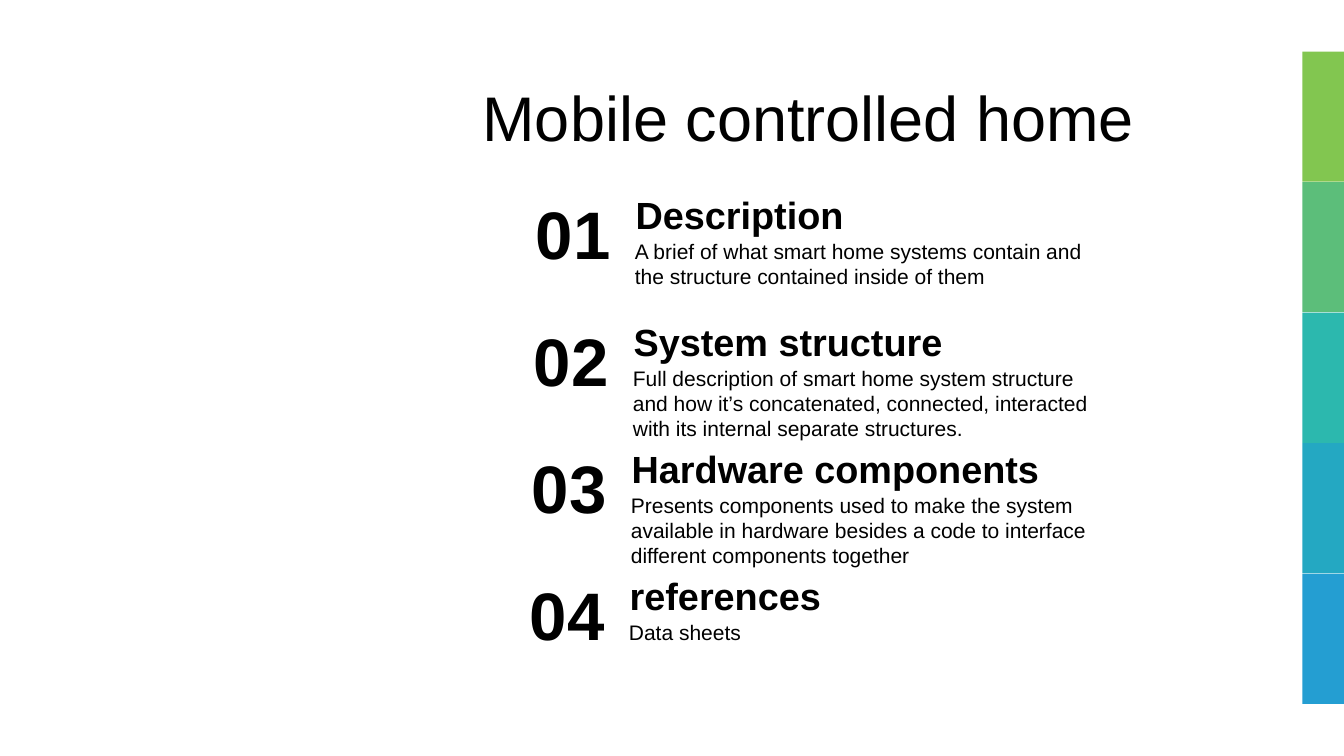
from lxml import etree
from pptx import Presentation
from pptx.dml.color import RGBColor
from pptx.enum.shapes import MSO_SHAPE
from pptx.enum.text import MSO_ANCHOR, MSO_AUTO_SIZE, PP_ALIGN
from pptx.oxml.ns import qn
from pptx.util import Cm, Pt

RECTANGLE = MSO_SHAPE.RECTANGLE
TOP, MIDDLE = MSO_ANCHOR.TOP, MSO_ANCHOR.MIDDLE
GROW = MSO_AUTO_SIZE.SHAPE_TO_FIT_TEXT
LEFT, CENTER = PP_ALIGN.LEFT, PP_ALIGN.CENTER

WHITE = RGBColor(0xFF, 0xFF, 0xFF)
BLACK = RGBColor(0x00, 0x00, 0x00)
LIME = RGBColor(0x82, 0xC6, 0x50)
GREEN = RGBColor(0x5C, 0xBE, 0x7A)
TEAL = RGBColor(0x2C, 0xB8, 0xAE)
CYAN = RGBColor(0x24, 0xA8, 0xC2)
BLUE = RGBColor(0x24, 0x9E, 0xD2)

TITLE = {"size": Pt(45), "bold": False}
NUMBER = {"size": Pt(48), "bold": True}
HEADING = {"size": Pt(27), "bold": True}
DETAIL = {"size": Pt(15), "bold": False}
WIDE_INSETS = (0.3, 0.13)
PLAIN_INSETS = (0.25, 0.13)

TOPICS = [
    ("Description", 1.55,
     "A brief of what smart home systems contain and the structure contained inside of them"),
    ("System structure", 2.18,
     "Full description of smart home system structure and how it’s concatenated, "
     "connected, interacted with its internal separate structures."),
    ("Hardware components", 2.18,
     "Presents components used to make the system available in hardware besides "
     "a code to interface different components together"),
    ("references", 0.89, "Data sheets"),
]
TOPIC_STEP, TOPIC_SHIFT = 3.2, -0.05
BAND_STEP = 3.29


class SlideBuilder:
    font_name = "Arial"
    text_color = BLACK

    def __init__(self, slide):
        self.slide = slide

    def block(self, left, top, width, height, color, opacity=100):
        block = self.slide.shapes.add_shape(
            RECTANGLE, Cm(left), Cm(top), Cm(width), Cm(height))
        block.shadow.inherit = False
        block.fill.solid()
        block.fill.fore_color.rgb = color
        block.line.fill.background()
        if opacity < 100:
            tint = block.fill._xPr.find(".//" + qn("a:srgbClr"))
            etree.SubElement(tint, qn("a:alpha")).set("val", str(opacity * 1000))

    def text(self, left, top, width, height, words, style,
             insets=PLAIN_INSETS, align=LEFT, anchor=TOP):
        frame = self.slide.shapes.add_textbox(
            Cm(left), Cm(top), Cm(width), Cm(height)).text_frame
        side, edge = map(Cm, insets)
        layout = {"word_wrap": True, "auto_size": GROW, "vertical_anchor": anchor,
                  "margin_left": side, "margin_right": side,
                  "margin_top": edge, "margin_bottom": edge}
        for name, value in layout.items():
            setattr(frame, name, value)
        paragraph = frame.paragraphs[0]
        paragraph.alignment = align
        run = paragraph.add_run()
        run.text = words
        for name, value in {"name": self.font_name, **style}.items():
            setattr(run.font, name, value)
        run.font.color.rgb = self.text_color

    def topic(self, index, heading, detail_height, detail):
        shift, drop = index * TOPIC_SHIFT, index * TOPIC_STEP
        self.text(15.75 + shift, 5.88 + drop, 12.52, detail_height, detail, DETAIL)
        self.text(15.72 + shift, 4.7 + drop, 12.52, 1.42, heading, HEADING, WIDE_INSETS)
        self.text(13.11 + shift, 4.72 + drop, 2.67, 2.31, f"{index + 1:02}",
                  NUMBER, WIDE_INSETS, CENTER)


def main():
    deck = Presentation()
    deck.slide_width, deck.slide_height = Cm(33.87), Cm(19.05)
    builder = SlideBuilder(deck.slides.add_slide(deck.slide_layouts[6]))
    builder.block(10.69, 1.3, 23.17, 16.43, WHITE, opacity=88)
    builder.text(11.91, 1.85, 17.2, 2.18, "Mobile controlled home", TITLE, anchor=MIDDLE)
    for index, topic in enumerate(TOPICS):
        builder.topic(index, *topic)
    for index, color in enumerate((LIME, GREEN, TEAL, CYAN, BLUE)):
        builder.block(32.82, 1.3 + index * BAND_STEP, 1.05, 3.28, color)
    deck.save("out.pptx")


if __name__ == "__main__":
    main()
